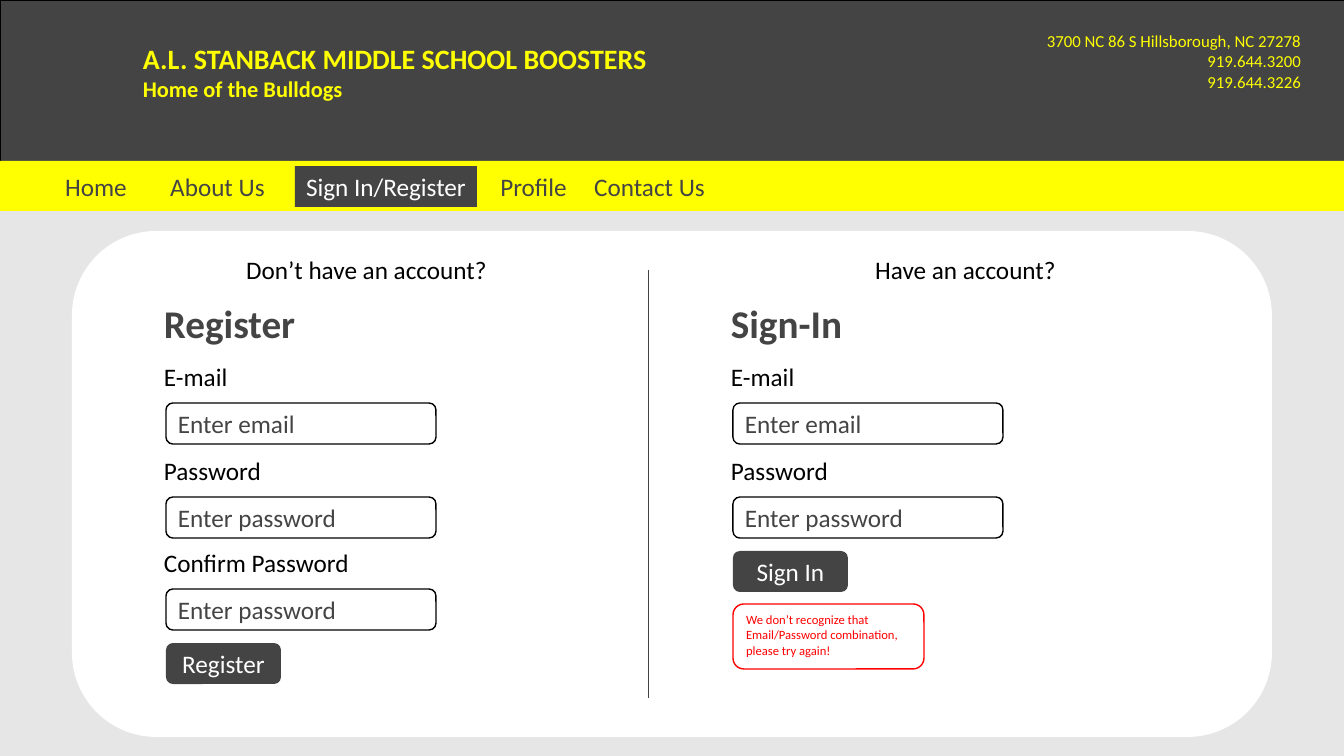
from pptx import Presentation
from pptx.dml.color import RGBColor
from pptx.enum.shapes import MSO_CONNECTOR, MSO_SHAPE
from pptx.enum.text import MSO_ANCHOR, PP_ALIGN
from pptx.oxml.ns import qn
from pptx.util import Pt
from lxml import etree

RECT, ROUND = MSO_SHAPE.RECTANGLE, MSO_SHAPE.ROUNDED_RECTANGLE
STRAIGHT = MSO_CONNECTOR.STRAIGHT
TOP, MIDDLE = MSO_ANCHOR.TOP, MSO_ANCHOR.MIDDLE
LEFT, CENTER, RIGHT = PP_ALIGN.LEFT, PP_ALIGN.CENTER, PP_ALIGN.RIGHT
SCALE = 914400 / 100.8
WIDTH, HEIGHT = 1344, 756
COLORS = {"dark": "444444", "yellow": "FFFF01", "gray": "E7E6E6",
          "white": "FFFFFF", "black": "000000", "red": "FF0000"}


def px(n):
    return round(n * SCALE)


def color(name):
    return RGBColor.from_string(COLORS[name])


class Page:
    font = "Calibri"

    def __init__(self, slide):
        self.shapes = slide.shapes

    def label(self, item, lines, ink, size=18, bold=False, align=LEFT,
              anchor=TOP, wrap=True):
        """Fill a shape with lines; a line may be a (text, size) pair."""
        frame = item.text_frame
        frame.word_wrap = wrap
        frame.vertical_anchor = anchor
        for i, line in enumerate(lines):
            text, points = line if isinstance(line, tuple) else (line, size)
            para = frame.add_paragraph() if i else frame.paragraphs[0]
            para.alignment = align
            run = para.add_run()
            run.text = text
            style = {"name": self.font, "size": Pt(points), "bold": bold}
            for key, value in style.items():
                setattr(run.font, key, value)
            run.font.color.rgb = color(ink)

    def text(self, box, lines, ink, **style):
        item = self.shapes.add_textbox(*map(px, box))
        self.label(item, lines, ink, **style)

    def shape(self, box, fill=None, edge=None, weight=1, kind=RECT):
        item = self.shapes.add_shape(kind, *map(px, box))
        item.shadow.inherit = False
        if fill:
            item.fill.solid()
            item.fill.fore_color.rgb = color(fill)
        else:
            item.fill.background()
        if edge:
            item.line.color.rgb = color(edge)
            item.line.width = Pt(weight)
        else:
            item.line.fill.background()
        return item

    def line(self, start, end, ink, weight):
        item = self.shapes.add_connector(STRAIGHT, *map(px, start + end))
        item.line.color.rgb = color(ink)
        item.line.width = Pt(weight)
        etree.SubElement(item._element.spPr, qn("a:effectLst"))

    def field(self, left, top, hint):
        item = self.shape((left, top, 270, 41), edge="black", kind=ROUND)
        self.label(item, [hint], "dark", anchor=MIDDLE)

    def button(self, left, top, name):
        item = self.shape((left, top, 115, 41), "dark", kind=ROUND)
        self.label(item, [name], "white", align=CENTER, anchor=MIDDLE)

    def form(self, left, title, rows, action):
        """Stack a title, labelled fields and a button."""
        inner = left + 12
        self.text((left, 294, 257, 57), [title], "dark", size=28, bold=True)
        for top, (name, hint) in zip((356, 450, 542), rows):
            self.text((left, top, 213, 40), [name], "black")
            self.field(inner, top + 47, hint)
        self.button(inner, top + 101, action)


def main():
    deck = Presentation()
    deck.slide_width, deck.slide_height = px(WIDTH), px(HEIGHT)
    page = Page(deck.slides.add_slide(deck.slide_layouts[6]))

    # Header
    page.shape((0, 0, WIDTH, 161), "dark", "black", 0.5)
    page.text((133, 37, 944, 72),
              [("A.L. STANBACK MIDDLE SCHOOL BOOSTERS", 20),
               ("Home of the Bulldogs", 16)], "yellow", bold=True)
    page.text((994, 26, 317, 72),
              ["3700 NC 86 S Hillsborough, NC 27278", "919.644.3200",
               "919.644.3226"], "yellow", size=12, align=RIGHT)

    # Navigation
    page.shape((0, 161, WIDTH, 50), "yellow")
    tabs = [("Home", 50, 92), ("About Us", 154, 127),
            ("Sign In/Register", 295, 182), ("Profile", 488, 91),
            ("Contact Us", 579, 141)]
    for name, left, width in tabs:
        here = name == "Sign In/Register"
        tab = page.shape((left, 166, width, 41), "dark" if here else "yellow")
        page.label(tab, [name], "white" if here else "dark",
                   align=CENTER, anchor=MIDDLE, wrap=False)

    # Card
    page.shape((0, 211, WIDTH, 545), "gray")
    page.shape((72, 231, 1200, 506), "white", kind=ROUND)
    page.line((648, 270), (648, 698), "dark", 0.5)
    for left, ask in ((198, "Don’t have an account?"),
                      (797, "Have an account?")):
        page.text((left, 249, 337, 40), [ask], "black", align=CENTER)

    # Forms
    rows = [("E-mail", "Enter email"), ("Password", "Enter password"),
            ("Confirm Password", "Enter password")]
    page.form(154, "Register", rows, "Register")
    page.form(721, "Sign-In", rows[:2], "Sign In")

    # Error message
    error = page.shape((733, 604, 191, 65), "white", "red", kind=ROUND)
    page.label(error, ["We don’t recognize that Email/Password combination, "
                       "please try again!"], "red", size=9)

    deck.save("out.pptx")


if __name__ == "__main__":
    main()
